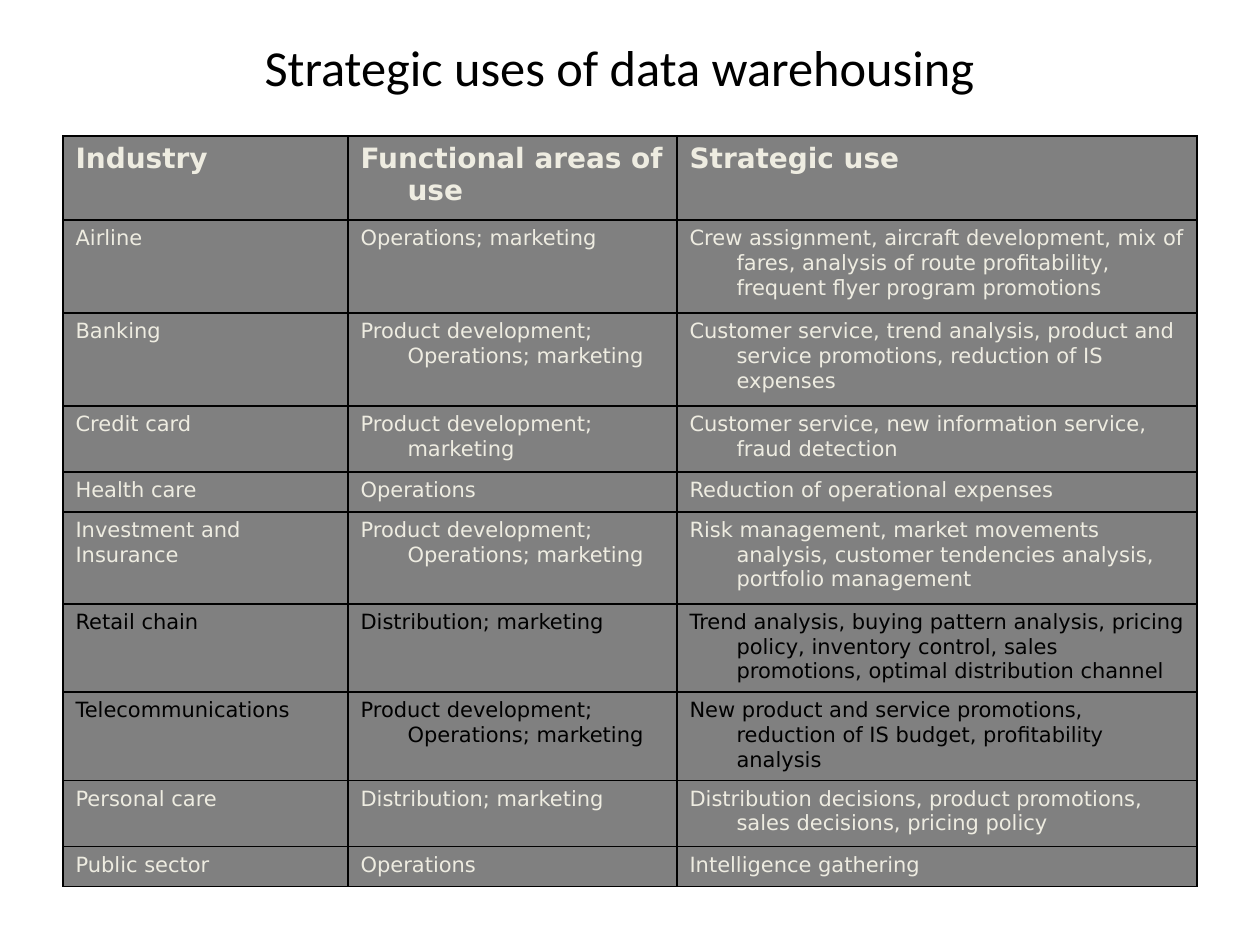
from lxml.etree import SubElement
from pptx import Presentation
from pptx.dml.color import RGBColor
from pptx.enum.text import MSO_ANCHOR, PP_ALIGN
from pptx.oxml.ns import qn
from pptx.util import Pt

PX = 914400 / 126
BLACK, CREAM, GRAY, WHITE = "000000", "EEECE1", "808080", "FFFFFF"
HANGING_INDENT = 47

COLUMN_WIDTHS = [285, 329, 520]
# Row height, text colour, cell texts
ROWS = [
    (84, CREAM, ["Industry", "Functional areas of use", "Strategic use"]),
    (93, CREAM, ["Airline", "Operations; marketing",
                 "Crew assignment, aircraft development, mix of fares, analysis of "
                 "route profitability, frequent flyer program promotions"]),
    (93, CREAM, ["Banking", "Product development; Operations; marketing",
                 "Customer service, trend analysis, product and service promotions, "
                 "reduction of IS expenses"]),
    (66, CREAM, ["Credit card", "Product development; marketing",
                 "Customer service, new information service, fraud detection"]),
    (40, CREAM, ["Health care", "Operations", "Reduction of operational expenses"]),
    (92, CREAM, ["Investment and\nInsurance", "Product development; Operations; marketing",
                 "Risk management, market movements analysis, customer tendencies "
                 "analysis, portfolio management"]),
    (87, BLACK, ["Retail chain", "Distribution; marketing",
                 "Trend analysis, buying pattern analysis, pricing policy, inventory "
                 "control, sales promotions, optimal distribution channel"]),
    (87, BLACK, ["Telecommunications", "Product development; Operations; marketing",
                 "New product and service promotions, reduction of IS budget, "
                 "profitability analysis"]),
    (66, CREAM, ["Personal care", "Distribution; marketing",
                 "Distribution decisions, product promotions, sales decisions, "
                 "pricing policy"]),
    (40, CREAM, ["Public sector", "Operations", "Intelligence gathering"]),
]


def px(length):
    return round(length * PX)


def color(hex_value):
    return RGBColor.from_string(hex_value)


def add_span(para, text, font_name, size, hex_value, bold=False):
    span = para.add_run()
    span.text = text
    span.font.name = font_name
    span.font.size = Pt(size)
    span.font.bold = bold
    span.font.color.rgb = color(hex_value)


def add_borders(cell, hex_value, width):
    properties = cell._tc.get_or_add_tcPr()
    for position, side in enumerate(("lnL", "lnR", "lnT", "lnB")):
        line = SubElement(properties, qn(f"a:{side}"), w=str(Pt(width)))
        fill = SubElement(line, qn("a:solidFill"))
        SubElement(fill, qn("a:srgbClr"), val=hex_value)
        properties.insert(position, line)


def fill_cell(cell, text, size, hex_value, bold):
    cell.fill.solid()
    cell.fill.fore_color.rgb = color(GRAY)
    add_borders(cell, BLACK, 1)
    frame = cell.text_frame
    for index, line in enumerate(text.split("\n")):
        para = frame.add_paragraph() if index else frame.paragraphs[0]
        properties = para._p.get_or_add_pPr()
        properties.set("marL", str(px(HANGING_INDENT)))
        properties.set("indent", str(-px(HANGING_INDENT)))
        add_span(para, line, "DejaVu Sans", size, hex_value, bold)


def add_title(page, left, top, width, height):
    box = page.shapes.add_textbox(px(left), px(top), px(width), px(height))
    frame = box.text_frame
    frame.word_wrap = True
    frame.vertical_anchor = MSO_ANCHOR.MIDDLE
    para = frame.paragraphs[0]
    para.alignment = PP_ALIGN.CENTER
    add_span(para, "Strategic uses of data warehousing", "Calibri", 28.8, BLACK)


def add_uses_table(page, left, top):
    width = sum(COLUMN_WIDTHS)
    height = sum(row[0] for row in ROWS)
    table = page.shapes.add_table(len(ROWS), len(COLUMN_WIDTHS), px(left), px(top),
                                  px(width), px(height)).table
    table.horz_banding = False
    for column, column_width in zip(table.columns, COLUMN_WIDTHS):
        column.width = px(column_width)
    for index, (row_height, hex_value, texts) in enumerate(ROWS):
        is_header = index == 0
        table.rows[index].height = px(row_height)
        for cell, text in zip(table.rows[index].cells, texts):
            fill_cell(cell, text, 16 if is_header else 12, hex_value, is_header)


def main():
    deck = Presentation()
    deck.slide_width, deck.slide_height = px(1260), px(945)
    page = deck.slides.add_slide(deck.slide_layouts[6])
    page.background.fill.solid()
    page.background.fill.fore_color.rgb = color(WHITE)

    # Heading above the table of industries
    add_title(page, 63, 38, 1113, 57)
    add_uses_table(page, 63, 136)
    deck.save("out.pptx")


if __name__ == "__main__":
    main()
